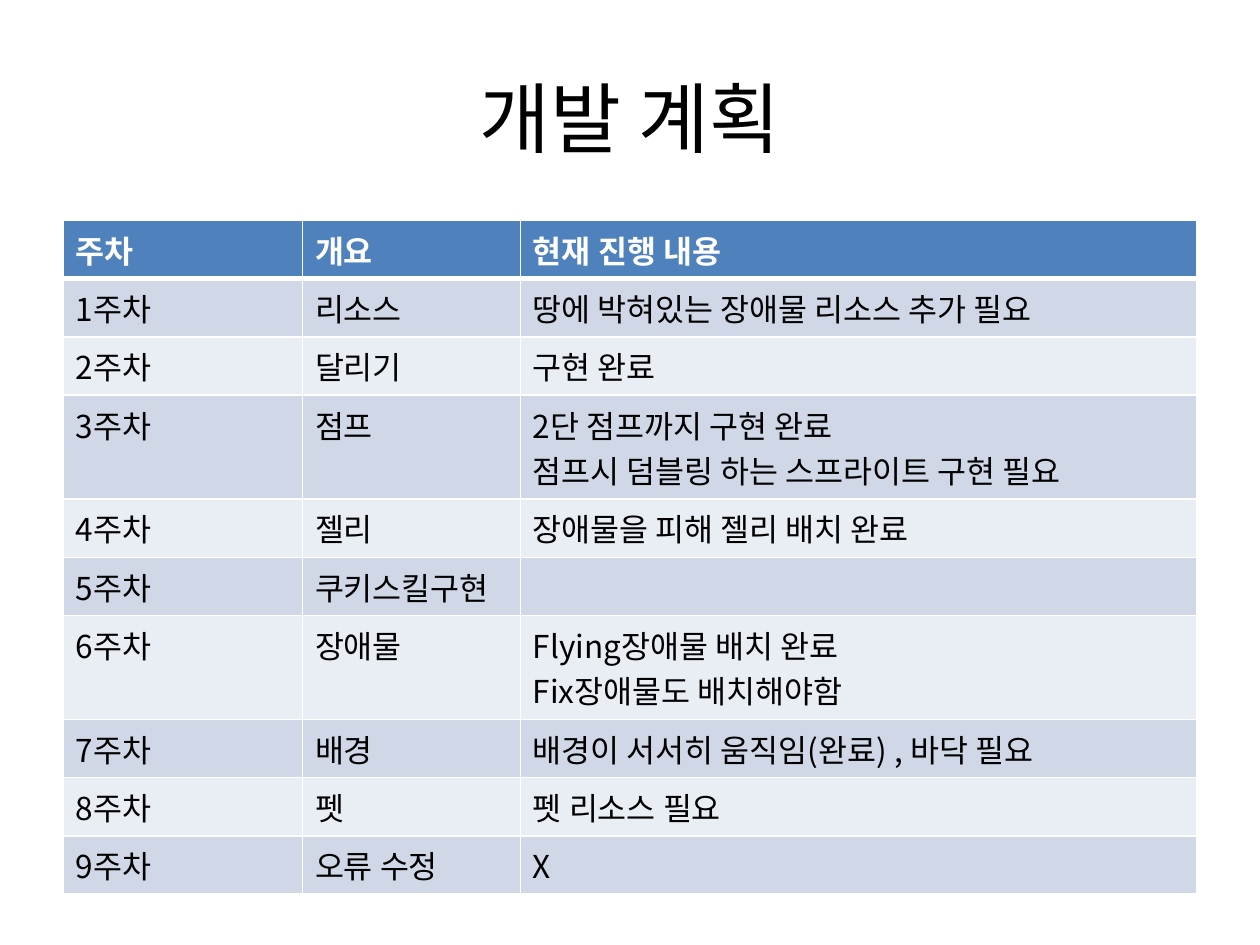
from typing import NamedTuple

from lxml import etree
from pptx import Presentation
from pptx.dml.color import RGBColor
from pptx.enum.text import MSO_ANCHOR, PP_ALIGN
from pptx.oxml.ns import qn
from pptx.util import Pt

CENTER = PP_ALIGN.CENTER
MIDDLE = MSO_ANCHOR.MIDDLE
TITLE_ONLY = 5

FONT = "Noto Sans CJK KR"
BLACK = RGBColor(0x00, 0x00, 0x00)
WHITE = RGBColor(0xFF, 0xFF, 0xFF)
HEADER_BLUE = RGBColor(0x4F, 0x81, 0xBD)
BANDS = (RGBColor(0xE9, 0xED, 0xF4), RGBColor(0xD0, 0xD8, 0xE8))

COLUMN_WIDTHS = (136.8, 124.56, 386.64)
ROW_HEIGHT = 29.2
THIN, THICK = 1, 3


class Week(NamedTuple):
    week: str
    topic: str
    progress: str


HEADER = Week("주차", "개요", "현재 진행 내용")
WEEKS = [
    Week("1주차", "리소스", "땅에 박혀있는 장애물 리소스 추가 필요"),
    Week("2주차", "달리기", "구현 완료"),
    Week("3주차", "점프", "2단 점프까지 구현 완료\n점프시 덤블링 하는 스프라이트 구현 필요"),
    Week("4주차", "젤리", "장애물을 피해 젤리 배치 완료"),
    Week("5주차", "쿠키스킬구현", ""),
    Week("6주차", "장애물", "Flying장애물 배치 완료\nFix장애물도 배치해야함"),
    Week("7주차", "배경", "배경이 서서히 움직임(완료) , 바닥 필요"),
    Week("8주차", "펫", "펫 리소스 필요"),
    Week("9주차", "오류 수정", "X"),
]


def write(tf, text: str, size: float, color: RGBColor, bold: bool = False) -> None:
    """Fill a text frame, one paragraph a line, with Latin and Korean fonts."""
    tf.text = text
    for p in tf.paragraphs:
        for r in p.runs:
            r.font.name, r.font.size, r.font.bold = FONT, Pt(size), bold
            r.font.color.rgb = color
            ea = etree.SubElement(r.font._element, qn("a:ea"))
            ea.set("typeface", FONT)


def set_borders(cell, top: float, bottom: float) -> None:
    tc_pr = cell._tc.get_or_add_tcPr()
    widths = {"lnL": THIN, "lnR": THIN, "lnT": top, "lnB": bottom}
    for side, width in widths.items():
        ln = etree.SubElement(tc_pr, qn(f"a:{side}"), w=str(Pt(width)))
        fill = etree.SubElement(ln, qn("a:solidFill"))
        etree.SubElement(fill, qn("a:srgbClr"), val=str(WHITE))


def add_title(s, text: str) -> None:
    title = s.shapes.title
    title.left, title.top = Pt(36), Pt(21.6)
    title.width, title.height = Pt(648), Pt(90)
    tf = title.text_frame
    tf.vertical_anchor = MIDDLE
    write(tf, text, 44, BLACK)
    tf.paragraphs[0].alignment = CENTER


def add_plan(s, rows: list[Week]) -> None:
    table = s.shapes.add_table(
        len(rows), len(COLUMN_WIDTHS), Pt(36), Pt(126),
        Pt(sum(COLUMN_WIDTHS)), Pt(ROW_HEIGHT * len(rows)),
    ).table
    for column, width in zip(table.columns, COLUMN_WIDTHS):
        column.width = Pt(width)
    for i, row in enumerate(rows):
        table.rows[i].height = Pt(ROW_HEIGHT)
        header = i == 0
        for j, text in enumerate(row):
            cell = table.cell(i, j)
            # The thick rule lies between the header and the first week
            set_borders(cell, THICK if i == 1 else THIN, THICK if header else THIN)
            cell.fill.solid()
            cell.fill.fore_color.rgb = HEADER_BLUE if header else BANDS[i % 2]
            write(cell.text_frame, text, 18, WHITE if header else BLACK, header)


def main() -> None:
    prs = Presentation()
    prs.slide_width, prs.slide_height = Pt(720), Pt(540)
    s = prs.slides.add_slide(prs.slide_layouts[TITLE_ONLY])
    add_title(s, "개발 계획")
    add_plan(s, [HEADER, *WEEKS])
    prs.save("out.pptx")


if __name__ == "__main__":
    main()
